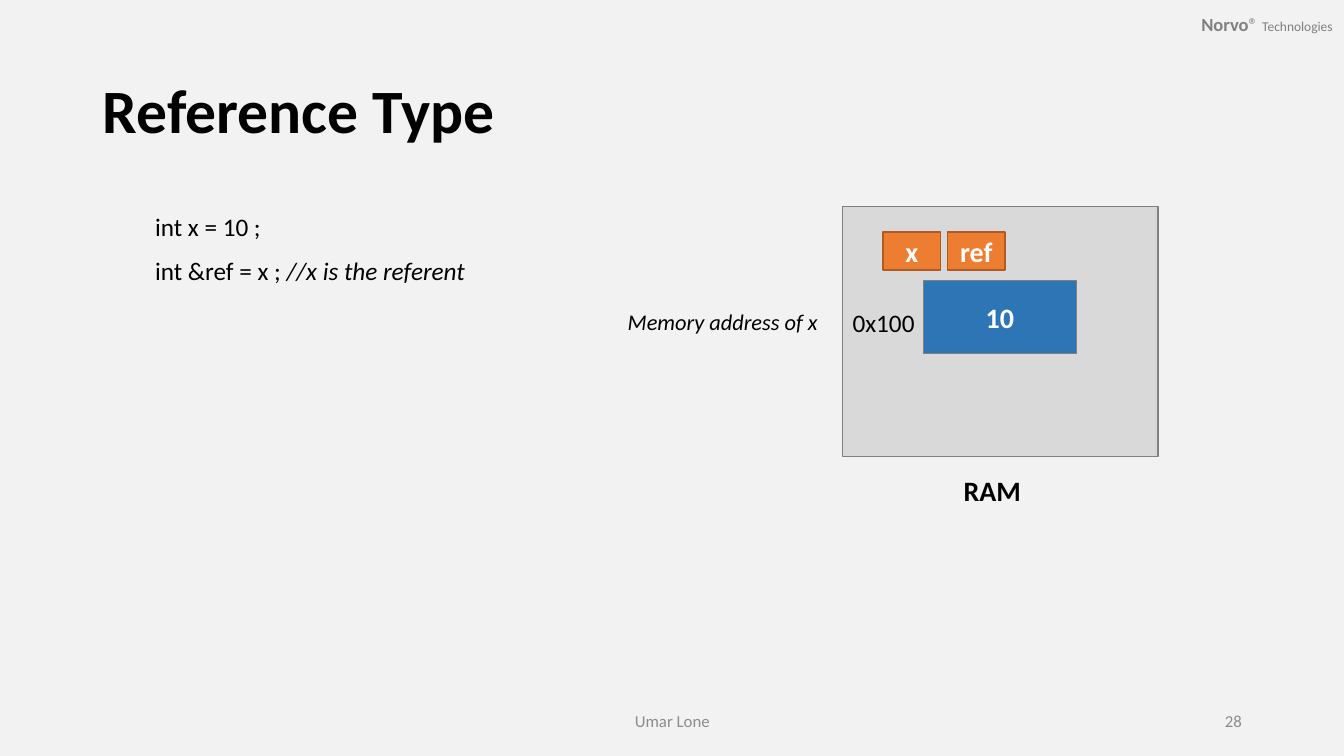
from dataclasses import dataclass

from pptx import Presentation
from pptx import util as u
from pptx.dml.color import RGBColor
from pptx.enum import shapes, text


@dataclass(frozen=True)
class Theme:
    font: str = "Calibri"
    background: str = "F2F2F2"
    ink: str = "000000"
    light: str = "FFFFFF"
    grey: str = "808080"
    footer: str = "8C8C8C"
    memory: str = "D9D9D9"
    value: str = "2E75B6"
    name: str = "ED7D31"
    name_line: str = "AF5C24"
    title_size: float = 44
    label_size: float = 20
    body_size: float = 18
    note_size: float = 16
    brand_size: float = 13.2
    footer_size: float = 12
    brand_small_size: float = 9.6


@dataclass(frozen=True)
class Area:
    """Position and size in percent of the slide's width and height."""
    left: float
    top: float
    width: float
    height: float


@dataclass(frozen=True)
class Run:
    text: str
    bold: bool = False
    italic: bool = False
    size: float | None = None


@dataclass(frozen=True)
class Box:
    area: Area
    fill: str
    line: str
    label: str = ""


@dataclass(frozen=True)
class Label:
    area: Area
    runs: tuple[Run, ...]
    size: float = Theme.body_size
    color: str = Theme.ink
    align: text.PP_ALIGN = text.PP_ALIGN.LEFT
    anchor: text.MSO_ANCHOR = text.MSO_ANCHOR.TOP


THEME = Theme()
WIDTH, HEIGHT = u.Inches(13.33), u.Inches(7.5)
LEFT, CENTER, RIGHT = text.PP_ALIGN.LEFT, text.PP_ALIGN.CENTER, text.PP_ALIGN.RIGHT
MIDDLE = text.MSO_ANCHOR.MIDDLE

# Shared grid lines, in percent
RAM_LEFT, RAM_TOP = 62.7, 27.33
NAME_LEFT, NAME_STEP = 65.7, 4.8
CODE_LEFT, CODE_STEP = 10.8, 5.74
ADDRESS_TOP, FOOTER_TOP = 40.13, 92.67

BOXES = [
    Box(Area(RAM_LEFT, RAM_TOP, 23.48, 33.07), THEME.memory, THEME.grey),
    Box(Area(68.7, 37.07, 11.4, 9.73), THEME.value, THEME.grey, "10"),
    *(Box(Area(NAME_LEFT + index * NAME_STEP, 30.67, 4.28, 5.07),
          THEME.name, THEME.name_line, name)
      for index, name in enumerate(("x", "ref"))),
]

CODE_LINES = [
    (13.05, (Run("int x = 10 ;"),)),
    (28.35, (Run("int &ref = x ; "), Run("//x is the referent", italic=True))),
]

LABELS = [
    *(Label(Area(CODE_LEFT, RAM_TOP + index * CODE_STEP, width, 5.33), runs)
      for index, (width, runs) in enumerate(CODE_LINES)),
    Label(Area(RAM_LEFT, ADDRESS_TOP, 7.65, 5.07), (Run("0x100"),), anchor=MIDDLE),
    Label(Area(44.18, ADDRESS_TOP, 17.4, 4.93), (Run("Memory address of x", italic=True),),
          THEME.note_size, align=RIGHT),
    Label(Area(NAME_LEFT, 62, 16.28, 5.87), (Run("RAM", bold=True),),
          THEME.label_size, align=CENTER),
    Label(Area(85.58, 0.13, 14.48, 6),
          (Run("Norvo", bold=True), Run("® "), Run("Technologies", size=THEME.brand_small_size)),
          THEME.brand_size, THEME.grey, RIGHT, MIDDLE),
    Label(Area(33.15, FOOTER_TOP, 33.75, 5.33), (Run("Umar Lone"),),
          THEME.footer_size, THEME.footer, CENTER, MIDDLE),
    Label(Area(70.65, FOOTER_TOP, 22.5, 5.33), (Run("28"),),
          THEME.footer_size, THEME.footer, RIGHT, MIDDLE),
]


def place(area: Area) -> tuple[int, int, int, int]:
    return (int(WIDTH * area.left / 100), int(HEIGHT * area.top / 100),
            int(WIDTH * area.width / 100), int(HEIGHT * area.height / 100))


def write(shape, runs: tuple[Run, ...], *, size: float, color: str = THEME.ink,
          align=LEFT, anchor=MIDDLE, line_spacing: float = 1.0) -> None:
    frame = shape.text_frame
    frame.word_wrap = True
    frame.auto_size = text.MSO_AUTO_SIZE.NONE
    frame.vertical_anchor = anchor
    paragraph = frame.paragraphs[0]
    paragraph.alignment = align
    paragraph.line_spacing = line_spacing
    for item in runs:
        run = paragraph.add_run()
        run.text = item.text
        run.font.name = THEME.font
        run.font.size = u.Pt(item.size or size)
        run.font.bold = item.bold
        run.font.italic = item.italic
        run.font.color.rgb = RGBColor.from_string(color)


def draw_box(slide, box: Box) -> None:
    shape = slide.shapes.add_shape(shapes.MSO_SHAPE.RECTANGLE, *place(box.area))
    shape.shadow.inherit = False
    shape.fill.solid()
    shape.fill.fore_color.rgb = RGBColor.from_string(box.fill)
    shape.line.color.rgb = RGBColor.from_string(box.line)
    shape.line.width = u.Pt(1)
    if box.label:
        write(shape, (Run(box.label, bold=True),), size=THEME.label_size,
              color=THEME.light, align=CENTER)


def draw_label(slide, label: Label) -> None:
    shape = slide.shapes.add_textbox(*place(label.area))
    write(shape, label.runs, size=label.size, color=label.color,
          align=label.align, anchor=label.anchor)
    if label.size == THEME.brand_size:
        frame = shape.text_frame
        frame.margin_left = frame.margin_right = u.Inches(0.12)
        frame.margin_top = frame.margin_bottom = u.Inches(0.06)


def main() -> None:
    presentation = Presentation()
    presentation.slide_width, presentation.slide_height = WIDTH, HEIGHT
    slide = presentation.slides.add_slide(presentation.slide_layouts.get_by_name("Title Only"))
    slide.background.fill.solid()
    slide.background.fill.fore_color.rgb = RGBColor.from_string(THEME.background)

    # Title
    title = slide.shapes.title
    title.left, title.top, title.width, title.height = place(Area(6.9, 5.33, 86.25, 19.33))
    write(title, (Run("Reference Type", bold=True),), size=THEME.title_size, line_spacing=0.9)

    # Memory diagram
    for box in BOXES:
        draw_box(slide, box)

    # Code, captions, brand line and footer
    for label in LABELS:
        draw_label(slide, label)

    presentation.save("out.pptx")


if __name__ == "__main__":
    main()
